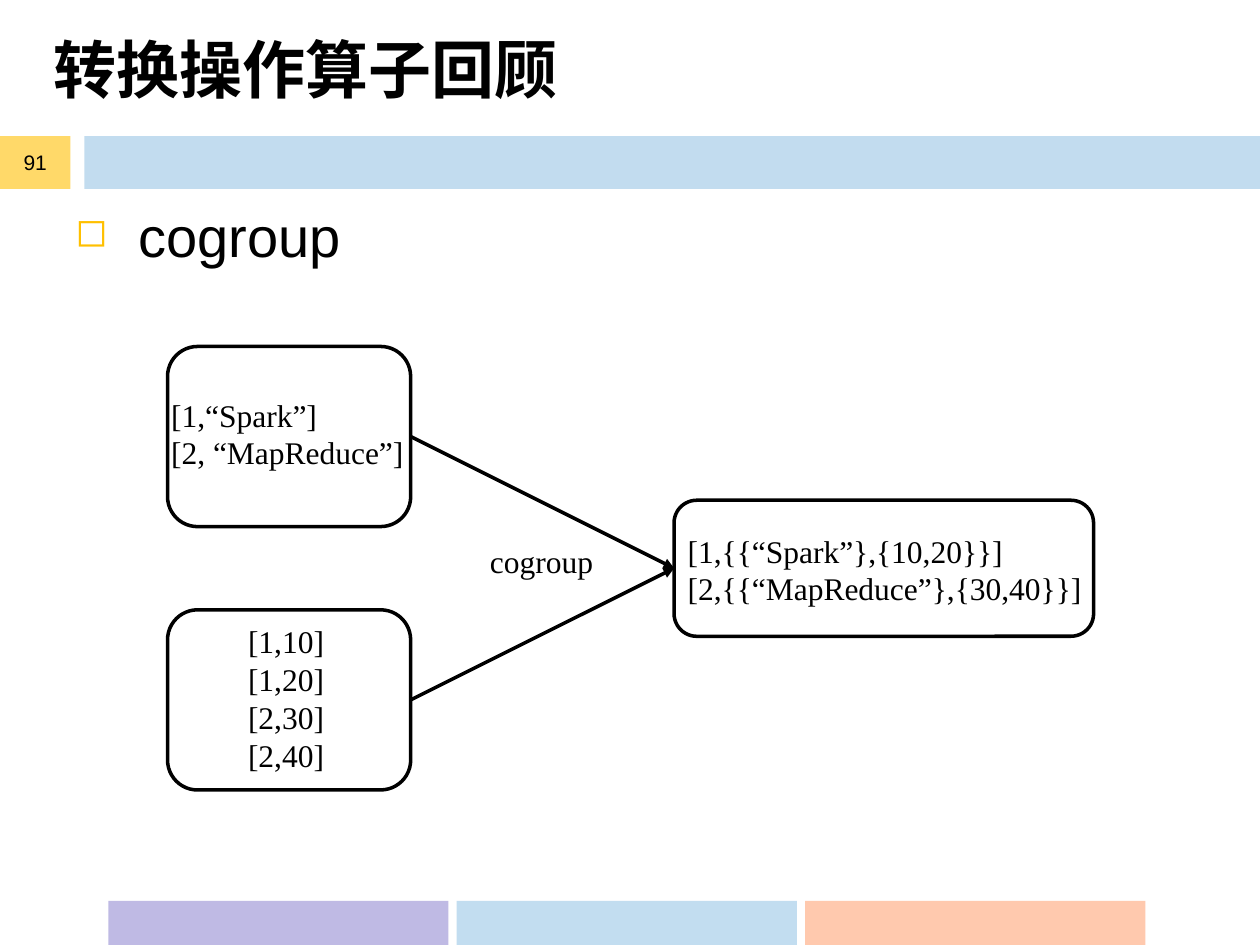
import pptx
import pptx.util
import pptx.dml.color
import pptx.enum.shapes
import pptx.enum.text
import pptx.oxml.ns
import lxml.etree
from dataclasses import dataclass, field

# The slide is a grid of 100 columns by 75 rows
COLS, ROWS = 100, 75
CELL = pptx.util.Inches(0.1)
KIND = pptx.enum.shapes.MSO_SHAPE
ALIGN = pptx.enum.text.PP_ALIGN
MID = pptx.enum.text.MSO_ANCHOR.MIDDLE


def face(name, size, bold=False):
    return {"name": name, "size": pptx.util.Pt(size), "bold": bold}


@dataclass
class Theme:
    ink: str = "000000"
    gold: str = "FFC000"
    band: tuple = ("0070C0", 24)
    badge: tuple = ("FFC000", 59)
    feet: tuple = (("BFBAE4", 100), ("C2DDF0", 100), ("FF9966", 53))
    line: float = 2
    title: dict = field(default_factory=lambda: face("Times New Roman", 36, True))
    body: dict = field(default_factory=lambda: face("Arial", 32))
    page: dict = field(default_factory=lambda: face("Arial", 12))
    label: dict = field(default_factory=lambda: face("Times New Roman", 18))


THEME = Theme()


def rgb(code):
    return pptx.dml.color.RGBColor.from_string(code)


def sub(node, tag, **vals):
    return lxml.etree.SubElement(node, pptx.oxml.ns.qn(tag), **vals)


def span(box):
    return [round(part * CELL) for part in box]


def within(box, left, top, width, height):
    """Move a box from its region's corner onto the slide."""
    return box[0] + left, box[1] + top, width, height


def write(shape, lines, style, align=ALIGN.LEFT, **form):
    frame = shape.text_frame
    for key, val in form.items():
        setattr(frame, key, val)
    for num, line in enumerate(lines):
        para = frame.paragraphs[0] if num == 0 else frame.add_paragraph()
        para.alignment = align
        run = para.add_run()
        run.text = line
        for key, val in style.items():
            setattr(run.font, key, val)
        run.font.color.rgb = rgb(THEME.ink)
    return frame


def text(slide, box, lines, style, **form):
    return write(slide.shapes.add_textbox(*span(box)), lines, style, **form)


def block(slide, box, paint):
    """Plain bar of one colour with an opacity in percent."""
    code, alpha = paint
    bar = slide.shapes.add_shape(KIND.RECTANGLE, *span(box))
    bar.shadow.inherit = False
    bar.line.fill.background()
    bar.fill.solid()
    bar.fill.fore_color.rgb = rgb(code)
    if alpha < 100:
        tint = bar.fill._xPr.find(".//" + pptx.oxml.ns.qn("a:srgbClr"))
        sub(tint, "a:alpha", val=str(alpha * 1000))
    return bar


def node(slide, box):
    """Rounded outline that holds a data set."""
    shape = slide.shapes.add_shape(KIND.ROUNDED_RECTANGLE, *span(box))
    shape.shadow.inherit = False
    shape.fill.background()
    shape.line.color.rgb = rgb(THEME.ink)
    shape.line.width = pptx.util.Pt(THEME.line)
    return shape


def arrow(slide, start, end):
    """Arrow from the right side of one node to the left of another."""
    link = slide.shapes.add_connector(
        pptx.enum.shapes.MSO_CONNECTOR.STRAIGHT, 0, 0, 0, 0)
    link.begin_connect(start, 3)
    link.end_connect(end, 1)
    link.line.color.rgb = rgb(THEME.ink)
    link.line.width = pptx.util.Pt(THEME.line)
    sub(link.line._get_or_add_ln(), "a:tailEnd", type="triangle")
    sub(link._element.spPr, "a:effectLst")


def header(slide, box):
    # Title, band and page number
    text(slide, within(box, 3.3, -0.8, 93.9, 12.5), ["转换操作算子回顾"],
         THEME.title, word_wrap=True, vertical_anchor=MID)
    block(slide, within(box, 6.7, 10.8, box[2] - 6.7, 4.2), THEME.band)
    badge = block(slide, within(box, 0, 10.8, 5.6, 4.2), THEME.badge)
    write(badge, ["91"], THEME.page, align=ALIGN.CENTER, vertical_anchor=MID,
          margin_left=0, margin_right=0)


def topic(slide, box):
    # Bulleted heading with a hanging indent
    frame = text(slide, box, ["cogroup"], THEME.body, word_wrap=True)
    props = frame.paragraphs[0]._p.get_or_add_pPr()
    props.set("marL", str(5 * CELL))
    props.set("indent", str(-5 * CELL))
    sub(sub(props, "a:buClr"), "a:srgbClr", val=THEME.gold)
    sub(props, "a:buSzPct", val="70000")
    sub(props, "a:buChar", char="◻")


def diagram(slide, box):
    # Two inputs on one pitch, joined into one result
    pitch = 20.9
    inputs = [node(slide, within(box, 0, pitch * row, 19.3, 14.3))
              for row in range(2)]
    result = node(slide, within(box, 40.2, 12.2, 33.3, 10.8))
    for start in inputs:
        arrow(slide, start, result)
    # Labels
    labels = (
        ((-0.7, 3.4, 20.7, 7.1), ["[1,“Spark”]", "[2, “MapReduce”]"]),
        ((5.4, 21.4, 9.5, 13.1), ["[1,10]", "[1,20]", "[2,30]", "[2,40]"]),
        ((24.6, 15, 10.3, 4), ["cogroup"]),
        ((40.3, 14.2, 34.7, 7.1),
         ["[1,{{“Spark”},{10,20}}]", "[2,{{“MapReduce”},{30,40}}]"]),
    )
    for place, lines in labels:
        text(slide, within(box, *place), lines, THEME.label, word_wrap=False)


def footer(slide, box):
    # Three bars with equal gaps
    gap = 0.65
    width = (box[2] - 2 * gap) / 3
    for col, paint in enumerate(THEME.feet):
        place = within(box, col * (width + gap), 0, width, box[3])
        block(slide, place, paint)


def main():
    deck = pptx.Presentation()
    deck.slide_width, deck.slide_height = COLS * CELL, ROWS * CELL
    slide = deck.slides.add_slide(deck.slide_layouts[6])
    footer(slide, (8.6, 71.5, 82.3, 3.5))
    header(slide, (0, 0, COLS, 15))
    topic(slide, (5, 15.5, 90, 10))
    diagram(slide, (13.3, 27.5, 73.5, 35.2))
    deck.save("out.pptx")


if __name__ == "__main__":
    main()
